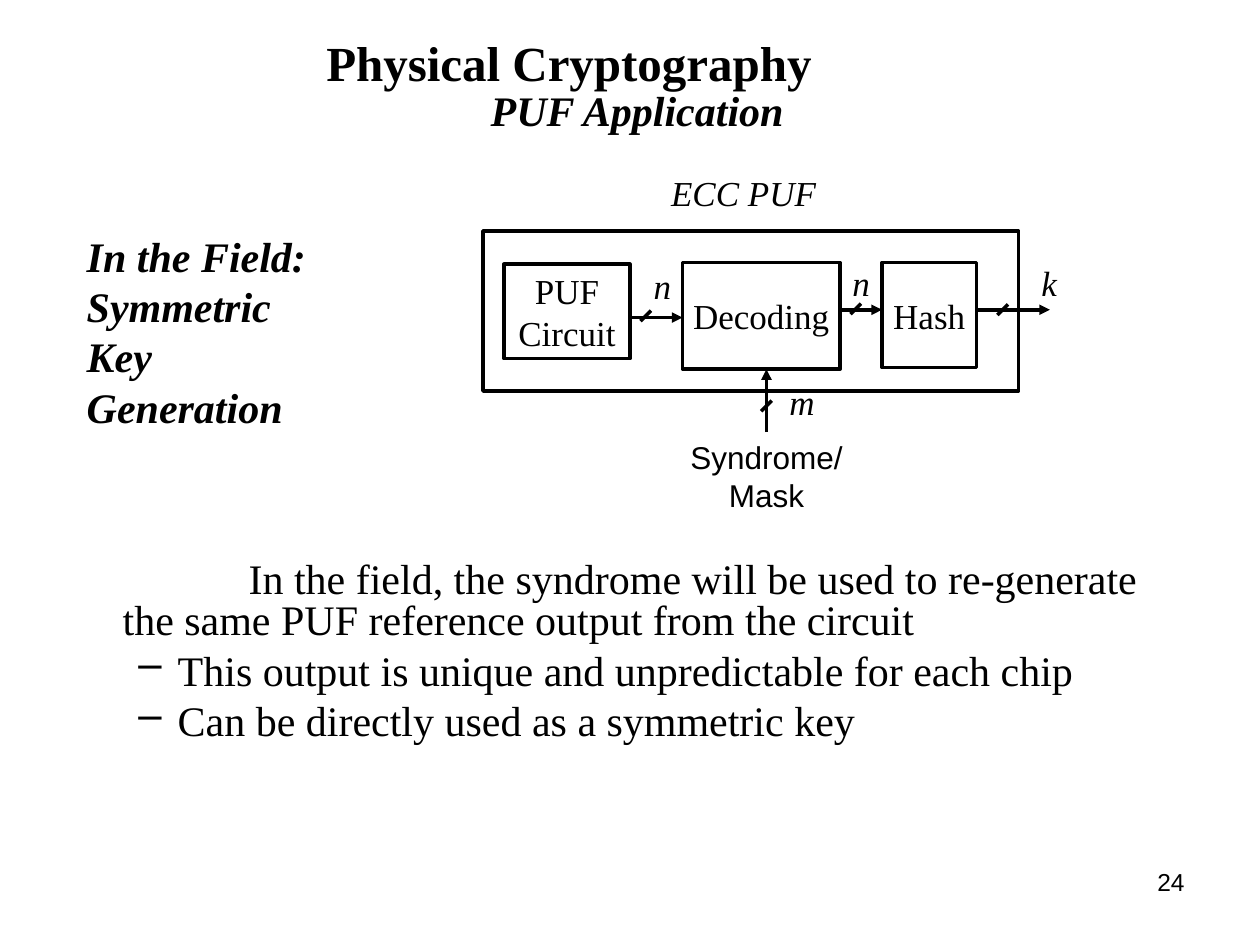
from lxml import etree
from pptx import Presentation
from pptx.dml.color import RGBColor
from pptx.enum import shapes, text
from pptx.oxml.ns import qn
from pptx.util import Pt

BLACK = RGBColor(0, 0, 0)
WHITE = RGBColor(255, 255, 255)
SERIF = "Times New Roman"
SANS = "Arial"
LEFT, CENTER, RIGHT = text.PP_ALIGN.LEFT, text.PP_ALIGN.CENTER, text.PP_ALIGN.RIGHT


def format_text(tf, size, font=SERIF, bold=False, italic=False, align=LEFT):
    for p in tf.paragraphs:
        p.alignment = align
        for r in p.runs:
            r.font.name, r.font.size = font, Pt(size)
            r.font.bold, r.font.italic = bold, italic
            r.font.color.rgb = BLACK


def indent(p, left, first=0):
    pPr = p._p.get_or_add_pPr()
    pPr.set("marL", str(Pt(left)))
    pPr.set("indent", str(Pt(first)))


def add_title(s):
    sp = s.shapes.title
    sp.left, sp.top, sp.width, sp.height = Pt(150.5), Pt(20), Pt(384), Pt(57.5)
    tf = sp.text_frame
    tf.text = "Physical Cryptography\nPUF Application"
    tf.word_wrap = True
    tf.auto_size = text.MSO_AUTO_SIZE.NONE
    tf.vertical_anchor = text.MSO_ANCHOR.TOP
    tf.margin_top, tf.margin_right = Pt(6.5), Pt(42)
    format_text(tf, 28, bold=True, align=CENTER)
    heading, subtitle = tf.paragraphs
    heading.line_spacing, subtitle.line_spacing = 0.75, 0.88
    heading.space_before = subtitle.space_before = Pt(0)
    # The subtitle sits to the right of the heading
    indent(subtitle, 78)
    subtitle.runs[0].font.size = Pt(24)
    subtitle.runs[0].font.italic = True


def add_label(s, x, y, w, h, words, size, wrap=False, **style):
    tf = s.shapes.add_textbox(Pt(x), Pt(y), Pt(w), Pt(h)).text_frame
    tf.text = words
    tf.word_wrap = wrap
    format_text(tf, size, **style)
    return tf


def add_block(s, x, y, w, h, words="", filled=False):
    sp = s.shapes.add_shape(shapes.MSO_SHAPE.RECTANGLE, Pt(x), Pt(y), Pt(w), Pt(h))
    sp.shadow.inherit = False
    if filled:
        sp.fill.solid()
        sp.fill.fore_color.rgb = WHITE
    else:
        sp.fill.background()
    sp.line.color.rgb, sp.line.width = BLACK, Pt(2)
    if words:
        tf = sp.text_frame
        tf.text = words
        tf.word_wrap = False
        tf.vertical_anchor = text.MSO_ANCHOR.MIDDLE
        format_text(tf, 20, align=CENTER)


def add_line(s, x1, y1, x2, y2, arrow=False):
    sp = s.shapes.add_connector(
        shapes.MSO_CONNECTOR.STRAIGHT, Pt(x1), Pt(y1), Pt(x2), Pt(y2))
    sp.line.color.rgb, sp.line.width = BLACK, Pt(2)
    if arrow:
        etree.SubElement(sp.line._get_or_add_ln(), qn("a:tailEnd"), type="triangle")
    etree.SubElement(sp._element.spPr, qn("a:effectLst"))


def add_bus(s, start, end, tick, name, name_at, name_width):
    """Arrow with a slash across it and the name of its bit width."""
    add_line(s, *start, *end, arrow=True)
    x, y = tick
    add_line(s, x - 3, y + 3, x + 3, y - 3)
    add_label(s, *name_at, name_width, 31.5, name, 20, italic=True)


def add_body(s):
    tf = add_label(
        s, 36, 318, 648, 150,
        "In the field, the syndrome will be used to re-generate "
        "the same PUF reference output from the circuit\n"
        "This output is unique and unpredictable for each chip\n"
        "Can be directly used as a symmetric key", 24, wrap=True)
    intro, *points = tf.paragraphs
    intro.line_spacing = 0.8
    indent(intro, 27, 72)
    for p in points:
        p.level = 1
        p.line_spacing, p.space_before = 0.8, Pt(6)
        indent(p, 58.5, -22.5)
        etree.SubElement(p._p.pPr, qn("a:buChar"), char="–")


def main():
    prs = Presentation()
    prs.slide_width, prs.slide_height = Pt(720), Pt(540)
    s = prs.slides.add_slide(prs.slide_layouts[5])
    add_title(s)

    # Page number, body and side heading
    add_label(s, 516, 492, 168, 37.5, "24", 14, wrap=True, font=SANS, align=RIGHT)
    add_body(s)
    add_label(s, 42.5, 128, 169, 93.5, "In the Field:\nSymmetric\nKey Generation",
              24, bold=True, italic=True)

    # Blocks of the diagram
    add_block(s, 276, 132, 306, 91.5, filled=True)
    add_block(s, 288, 151, 72, 54, "PUF\nCircuit")
    add_block(s, 390, 150, 90, 61, "Decoding")
    add_block(s, 504, 150, 54, 60, "Hash")

    # Signals between the blocks
    add_bus(s, (360, 181.5), (390, 181.5), (369, 180.5), "n", (366.5, 147.5), 24.5)
    add_bus(s, (480, 177), (504, 177), (489, 176.5), "n", (480, 146), 24.5)
    add_bus(s, (558, 177), (600, 177), (573, 177), "k", (588, 146), 23)
    add_bus(s, (438, 247), (438, 211), (438, 232), "m", (444, 214), 29)

    # Captions of the diagram
    add_label(s, 366, 247, 144, 29, "Syndrome/Mask", 18, font=SANS, align=CENTER)
    caption = add_label(s, 371.5, 94.5, 120, 31.5, "ECC PUF", 20, wrap=True, italic=True)
    caption.margin_left = Pt(12)

    prs.save("out.pptx")


if __name__ == "__main__":
    main()
